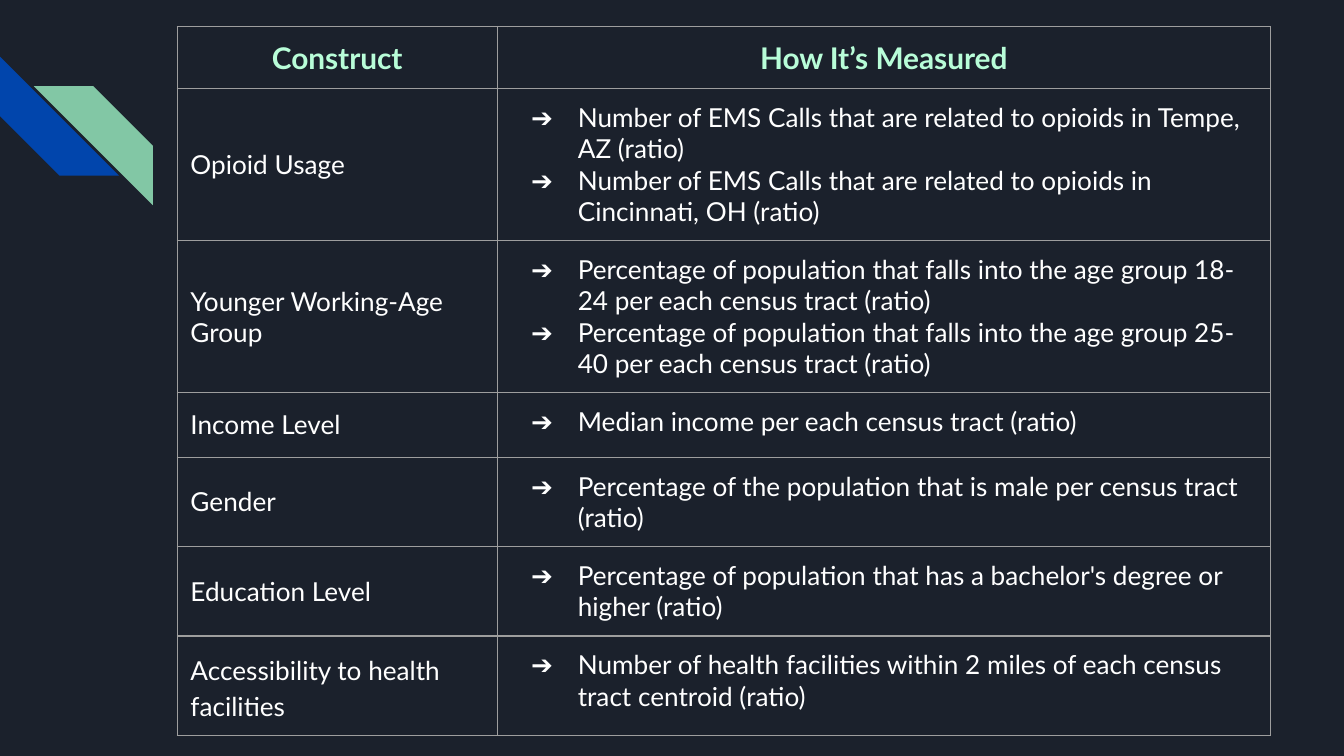
from lxml.etree import SubElement
from pptx import Presentation
from pptx.dml.color import RGBColor
from pptx.enum.shapes import MSO_SHAPE as Shape
from pptx.enum.text import MSO_ANCHOR as Anchor, PP_ALIGN as Align
from pptx.oxml import parse_xml
from pptx.oxml.ns import nsdecls, qn
from pptx.util import Cm, Pt

FONT = "Lato"
WHITE, MINT, GREY = "FFFFFF", "B8FDD8", "9E9E9E"
HEADINGS = ["Construct", "How It’s Measured"]
COLUMN_WIDTHS = [6.05, 14.61]
HEADER_HEIGHT = 1.17
CONSTRUCTS = [
    ("Opioid Usage", 2.87, [
        "Number of EMS Calls that are related to opioids in Tempe, AZ (ratio)",
        "Number of EMS Calls that are related to opioids in Cincinnati, OH (ratio)"]),
    ("Younger Working-Age Group", 2.87, [
        "Percentage of population that falls into the age group 18-24 per each census tract (ratio)",
        "Percentage of population that falls into the age group 25-40 per each census tract (ratio)"]),
    ("Income Level", 1.22, ["Median income per each census tract (ratio)"]),
    ("Gender", 1.69, ["Percentage of the population that is male per census tract (ratio)"]),
    ("Education Level", 1.69, [
        "Percentage of population that has a bachelor's degree or higher (ratio)"]),
    ("Accessibility to health facilities", 1.88, [
        "Number of health facilities within 2 miles of each census tract centroid (ratio)"]),
]


def color(value):
    """Turn a hex string into a colour."""
    return RGBColor.from_string(value)


def add_stripe(slide, left, top, fill, rotation=0, flipped=False):
    """Add a square diagonal stripe."""
    stripe = slide.shapes.add_shape(Shape.DIAGONAL_STRIPE, Cm(left), Cm(top), Cm(2.25), Cm(2.25))
    stripe.shadow.inherit = False
    stripe.fill.solid()
    stripe.fill.fore_color.rgb = color(fill)
    stripe.line.fill.background()
    stripe.rotation = rotation
    if flipped:
        stripe._element.spPr.xfrm.set("flipH", "1")


def style_cell(cell):
    """Give a cell clear fill, even margins and thin borders."""
    cell.fill.background()
    cell.margin_left = cell.margin_right = Cm(0.25)
    cell.margin_top = cell.margin_bottom = Cm(0.25)
    properties = cell._tc.get_or_add_tcPr()
    for index, side in enumerate(["lnL", "lnR", "lnT", "lnB"]):
        properties.insert(index, parse_xml(
            f'<a:{side} {nsdecls("a")} w="{Pt(0.75)}"><a:solidFill>'
            f'<a:srgbClr val="{GREY}"/></a:solidFill></a:{side}>'))


def add_bullet(paragraph):
    """Give a paragraph a white arrow bullet and a hanging indent."""
    properties = paragraph._p.get_or_add_pPr()
    properties.set("marL", str(Cm(1.27)))
    properties.set("indent", str(Cm(-0.88)))
    bullet_color = SubElement(properties, qn("a:buClr"))
    SubElement(bullet_color, qn("a:srgbClr"), val=WHITE)
    SubElement(properties, qn("a:buFont"), typeface=FONT)
    SubElement(properties, qn("a:buChar"), char="➔")


def write_cell(cell, lines, size=14, text_color=WHITE, bold=False):
    """Write one paragraph per line and return the paragraphs."""
    style_cell(cell)
    cell.text_frame.text = "\n".join(lines)
    for paragraph in cell.text_frame.paragraphs:
        for run in paragraph.runs:
            run.font.name = FONT
            run.font.size = Pt(size)
            run.font.bold = bold
            run.font.color.rgb = color(text_color)
    return cell.text_frame.paragraphs


def add_construct_table(slide):
    """Add the table of constructs and their measures."""
    heights = [HEADER_HEIGHT] + [height for _, height, _ in CONSTRUCTS]
    table = slide.shapes.add_table(
        len(heights), len(HEADINGS), Cm(3.35), Cm(0.5),
        Cm(sum(COLUMN_WIDTHS)), Cm(sum(heights))).table
    table.first_row = table.horz_banding = False
    for column, width in zip(table.columns, COLUMN_WIDTHS):
        column.width = Cm(width)
    for row, height in zip(table.rows, heights):
        row.height = Cm(height)
    for index, heading in enumerate(HEADINGS):
        for paragraph in write_cell(table.cell(0, index), [heading], 16, MINT, True):
            paragraph.alignment = Align.CENTER
    for index, (construct, _, measures) in enumerate(CONSTRUCTS, 1):
        name_cell = table.cell(index, 0)
        write_cell(name_cell, [construct])
        name_cell.vertical_anchor = Anchor.MIDDLE
        for paragraph in write_cell(table.cell(index, 1), measures):
            add_bullet(paragraph)
    name_cell.text_frame.paragraphs[0].line_spacing = 1.15


def main():
    """Build and save the slide."""
    presentation = Presentation()
    presentation.slide_width, presentation.slide_height = Cm(25.4), Cm(14.29)
    slide = presentation.slides.add_slide(presentation.slide_layouts[6])
    slide.background.fill.solid()
    slide.background.fill.fore_color.rgb = color("1B212C")
    add_stripe(slide, 0, 1.07, "0145AC", rotation=270)
    add_stripe(slide, 0.64, 1.63, "82C7A5", flipped=True)
    add_construct_table(slide)
    presentation.save("out.pptx")


if __name__ == "__main__":
    main()
